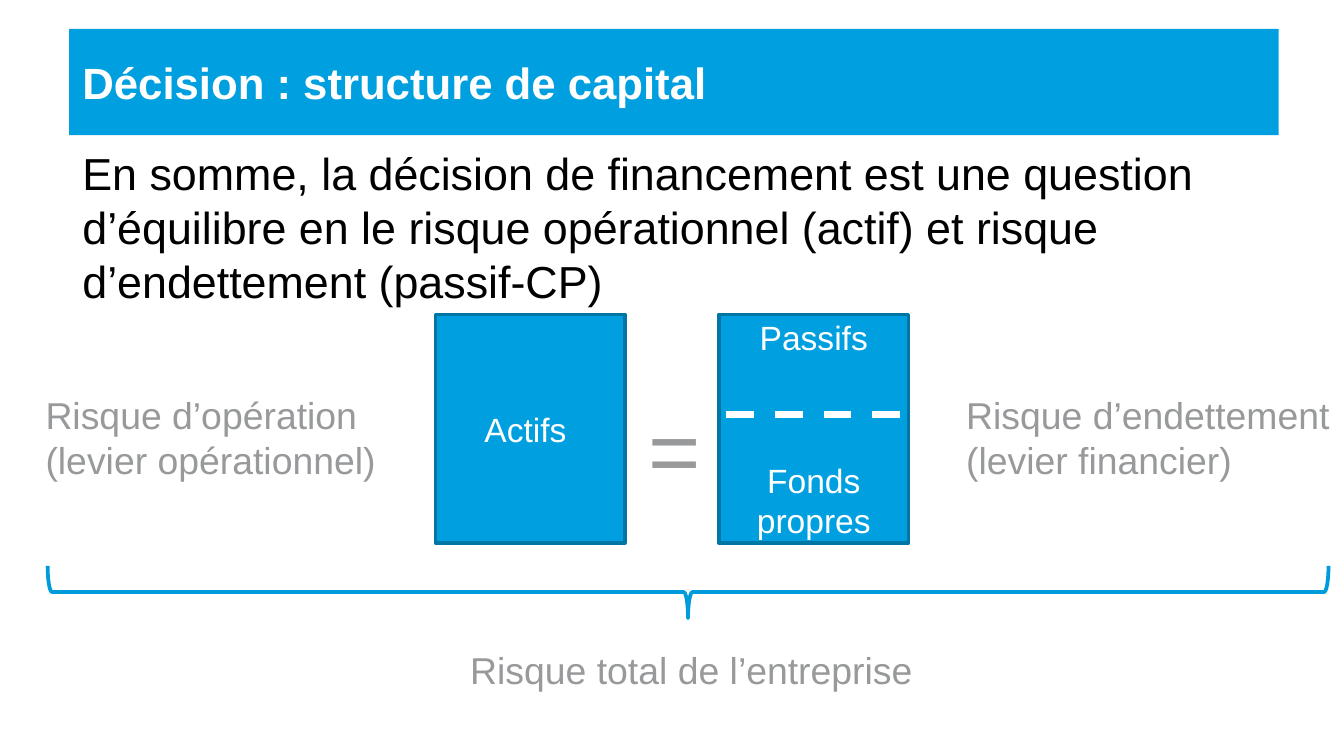
from lxml import etree
from pptx import Presentation
from pptx.dml.color import RGBColor
from pptx.enum.dml import MSO_LINE_DASH_STYLE as DASH
from pptx.enum.shapes import MSO_CONNECTOR, MSO_SHAPE as SHAPE
from pptx.enum.text import MSO_ANCHOR as ANCHOR, PP_ALIGN as ALIGN
from pptx.oxml.ns import qn
from pptx.util import Pt

PX = 4572  # EMU per px, 200 px to the inch
FONT = "Arial"
COLORS = {"blue": "009FDF", "edge": "0076A5", "brace": "009BDA",
          "white": "FFFFFF", "black": "000000", "gray": "97999B"}

# Content: lines of text and boxes as left, top, width, height in px
TITLE = ["Décision : structure de capital"]
BODY = ["En somme, la décision de financement est une question d’équilibre "
        "en le risque opérationnel (actif) et risque d’endettement (passif-CP)"]
BALANCE_TOP, BALANCE_W, BALANCE_H = 468, 282, 340
BALANCE = [  # left, lines, space between the lines in points
    (648, ["Actifs "], 0),
    (1070, ["Passifs", "Fonds propres"], 55),
]
LABELS = [  # box, lines, size, wrap
    ((48, 574, 536, 154), ["Risque d’opération", "(levier opérationnel)"], 20, False),
    ((1418, 574, 586, 154), ["Risque d’endettement", "(levier financier)"], 20, False),
    ((680, 954, 704, 88), ["Risque total de l’entreprise"], 20, False),
    ((946, 576, 110, 166), ["="], 48, True),
]
SPLIT = (1080, 617, 1360, 617)
BRACE = (985, -72, 78, 1906)


def rgb(name):
    return RGBColor.from_string(COLORS[name])


def px(values):
    return [v * PX for v in values]


def write(sp, lines, size, color, bold=False, align=ALIGN.LEFT,
          anchor=ANCHOR.TOP, wrap=True, gap=0):
    tf = sp.text_frame
    tf.word_wrap = wrap
    tf.vertical_anchor = anchor
    for i, line in enumerate(lines):
        p = tf.add_paragraph() if i else tf.paragraphs[0]
        p.alignment = align
        p.space_before = Pt(gap if i else 0)
        r = p.add_run()
        r.text = line
        r.font.name, r.font.size, r.font.bold = FONT, Pt(size), bold
        r.font.color.rgb = rgb(color)


def add_shape(kind, box, fill=None, line=None):
    sp = s.shapes.add_shape(kind, *px(box))
    sp.shadow.inherit = False
    if fill:
        sp.fill.solid()
        sp.fill.fore_color.rgb = rgb(fill)
    else:
        sp.fill.background()
    if line:
        sp.line.color.rgb = rgb(line)
        sp.line.width = Pt(2)
    else:
        sp.line.fill.background()
    return sp


prs = Presentation()
prs.slide_width, prs.slide_height = px((2000, 1125))
s = prs.slides.add_slide(prs.slide_layouts[6])

# Title band and body text
band = add_shape(SHAPE.RECTANGLE, (103, 43, 1800, 158), fill="blue")
write(band, TITLE, 23.4, "white", bold=True, anchor=ANCHOR.MIDDLE)
body = s.shapes.add_textbox(*px((103, 207, 1874, 262)))
write(body, BODY, 24, "black")

# Balance sheet: assets on the left, liabilities and equity on the right
for left, lines, gap in BALANCE:
    sp = add_shape(SHAPE.RECTANGLE, (left, BALANCE_TOP, BALANCE_W, BALANCE_H),
                   fill="blue", line="edge")
    write(sp, lines, 18, "white", align=ALIGN.CENTER, anchor=ANCHOR.MIDDLE, gap=gap)

# Dashed line between liabilities and equity
split = s.shapes.add_connector(MSO_CONNECTOR.STRAIGHT, *px(SPLIT))
split.line.color.rgb = rgb("white")
split.line.width = Pt(3.75)
split.line.dash_style = DASH.DASH
etree.SubElement(split._element.spPr, qn("a:effectLst"))

# Risk labels and equals sign
for box, lines, size, wrap in LABELS:
    write(s.shapes.add_textbox(*px(box)), lines, size, "gray", wrap=wrap)

# Brace gathering both risks, turned to point down
brace = add_shape(SHAPE.LEFT_BRACE, BRACE, line="brace")
brace.rotation = 270

prs.save("out.pptx")
